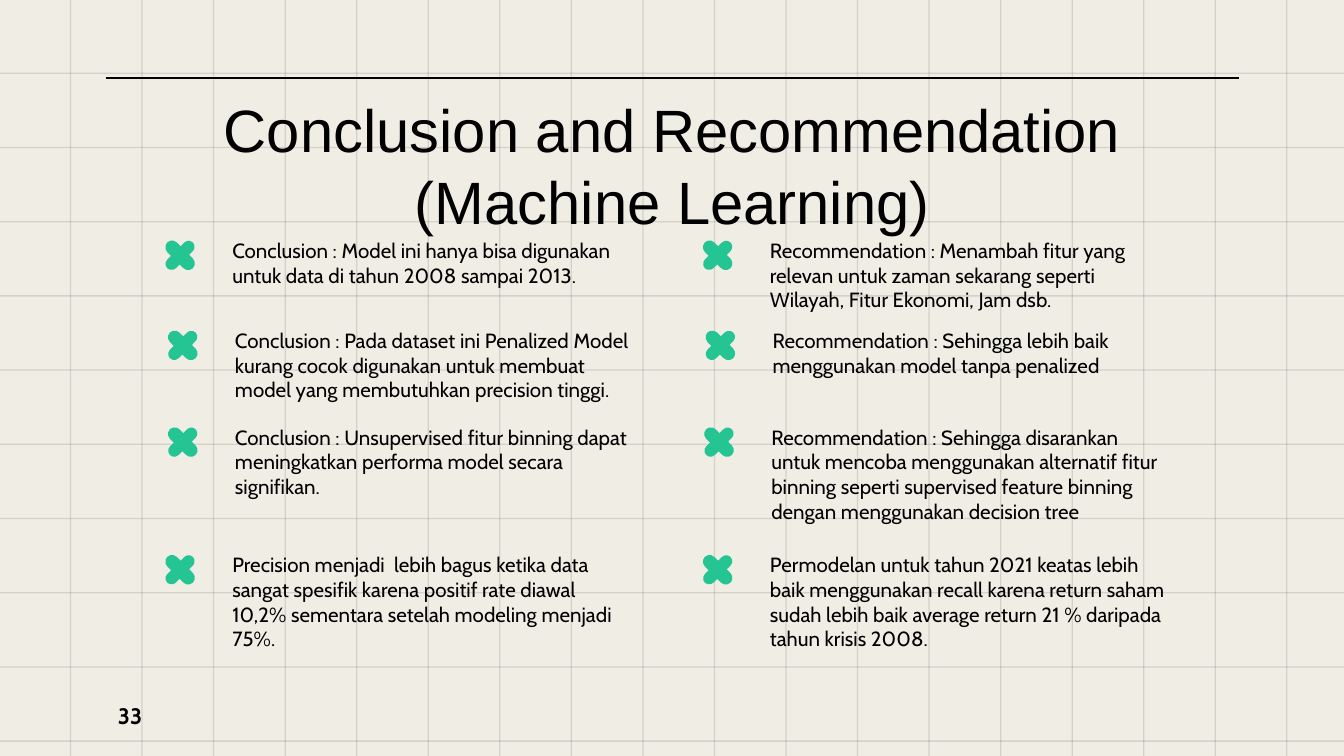
from lxml.etree import SubElement
from pptx import Presentation
from pptx.dml.color import RGBColor
from pptx.enum.shapes import MSO_CONNECTOR as Link, MSO_SHAPE as Kind
from pptx.enum.text import MSO_ANCHOR as Anchor, PP_ALIGN as Align
from pptx.oxml.ns import qn
from pptx.util import Inches, Pt

BLACK = RGBColor(0x00, 0x00, 0x00)
CREAM = RGBColor(0xF0, 0xED, 0xE5)
GREEN = RGBColor(0x25, 0xC5, 0x93)

WIDTH = 10
HEIGHT = WIDTH * 9 / 16
TITLE = "Conclusion and Recommendation (Machine Learning)"
PAGE = "33"

# Each row: top, then (left, height, text) for its two columns
ROWS = [
    (1.67, [
        (1.63, 1.63, "Conclusion : Model ini hanya bisa digunakan untuk data di "
                     "tahun 2008 sampai 2013."),
        (5.63, 1.63, "Recommendation : Menambah fitur yang relevan untuk zaman "
                     "sekarang seperti Wilayah, Fitur Ekonomi, Jam dsb."),
    ]),
    (2.34, [
        (1.65, 1.63, "Conclusion : Pada dataset ini Penalized Model kurang cocok "
                     "digunakan untuk membuat model yang membutuhkan precision tinggi."),
        (5.65, 0.82, "Recommendation : Sehingga lebih baik menggunakan model tanpa "
                     "penalized"),
    ]),
    (3.06, [
        (1.65, 0.82, "Conclusion : Unsupervised fitur binning dapat meningkatkan "
                     "performa model secara signifikan."),
        (5.64, 1.63, "Recommendation : Sehingga disarankan untuk mencoba menggunakan "
                     "alternatif fitur binning seperti supervised feature binning "
                     "dengan menggunakan decision tree"),
    ]),
    (4.01, [
        (1.63, 1.63, "Precision menjadi  lebih bagus ketika data sangat spesifik "
                     "karena positif rate diawal 10,2% sementara setelah modeling "
                     "menjadi 75%."),
        (5.63, 0.9, "Permodelan untuk tahun 2021 keatas lebih baik menggunakan recall "
                    "karena return saham sudah lebih baik average return 21 % daripada "
                    "tahun krisis 2008."),
    ]),
]
TEXT_WIDTH = 3.18
MARK_DX, MARK_DY = -0.29, 0.23  # from text corner to centre of its mark
BARS = [(0.09, 0.27), (0.27, 0.1)]

GRID_LAYERS, GRID_ALPHA, GRID_LINE = 2, 6, 0.01
COLS, COL_START, COL_STEP = 18, 0.52, 9.05 / 17
LINES, LINE_START, LINE_STEP = 10, 0.54, 4.97 / 9


def add_block(shapes, kind, box, color):
    shape = shapes.add_shape(kind, *map(Inches, box))
    shape.shadow.inherit = False
    shape.fill.solid()
    shape.fill.fore_color.rgb = color
    shape.line.fill.background()
    return shape


def add_grid(slide):
    group = slide.shapes.add_group_shape()
    boxes = [(COL_START + i * COL_STEP, -0.05, GRID_LINE, 5.73) for i in range(COLS)]
    boxes += [(-0.1, LINE_START + i * LINE_STEP, 10.2, GRID_LINE) for i in range(LINES)]
    for box in boxes:
        strip = add_block(group.shapes, Kind.RECTANGLE, box, BLACK)
        color = strip.element.spPr.find(qn("a:solidFill"))[0]
        SubElement(color, qn("a:alpha"), val=str(GRID_ALPHA * 1000))


def add_mark(slide, x, y):
    """Draw a green cross of two rounded bars centred on x, y."""
    group = slide.shapes.add_group_shape()
    for w, h in BARS:
        box = (x - w / 2, y - h / 2, w, h)
        bar = add_block(group.shapes, Kind.ROUNDED_RECTANGLE, box, GREEN)
        bar.adjustments[0] = 0.5
        bar.rotation = 45


def add_text(slide, box, text, font, anchor=Anchor.TOP, align=Align.LEFT):
    frame = slide.shapes.add_textbox(*map(Inches, box)).text_frame
    frame.word_wrap = True
    frame.vertical_anchor = anchor
    for side in ("left", "right", "top", "bottom"):
        setattr(frame, f"margin_{side}", Inches(0.1))
    line = frame.paragraphs[0]
    line.alignment = align
    run = line.add_run()
    run.text = text
    for name, value in font.items():
        setattr(run.font, name, value)
    run.font.color.rgb = BLACK


def add_rule(slide):
    ends = map(Inches, (0.79, 0.58, 9.22, 0.58))
    rule = slide.shapes.add_connector(Link.STRAIGHT, *ends)
    rule.line.color.rgb = BLACK
    rule.line.width = Pt(0.75)
    SubElement(rule.element.spPr, qn("a:effectLst"))


def main():
    deck = Presentation()
    deck.slide_width, deck.slide_height = Inches(WIDTH), Inches(HEIGHT)
    slide = deck.slides.add_slide(deck.slide_layouts[6])
    slide.background.fill.solid()
    slide.background.fill.fore_color.rgb = CREAM

    for _ in range(GRID_LAYERS):
        add_grid(slide)
    add_rule(slide)
    add_text(slide, (0.78, 5.11, 0.6, 0.43), PAGE,
             {"name": "Cabin", "size": Pt(12), "bold": True}, Anchor.MIDDLE)
    add_text(slide, (0.79, 0.59, 8.43, 0.63), TITLE,
             {"name": "Arial", "size": Pt(32)}, align=Align.CENTER)

    body = {"name": "Cabin", "size": Pt(11)}
    for top, cells in ROWS:
        for left, height, text in cells:
            add_text(slide, (left, top, TEXT_WIDTH, height), text, body)
            add_mark(slide, left + MARK_DX, top + MARK_DY)

    deck.save("out.pptx")


if __name__ == "__main__":
    main()
